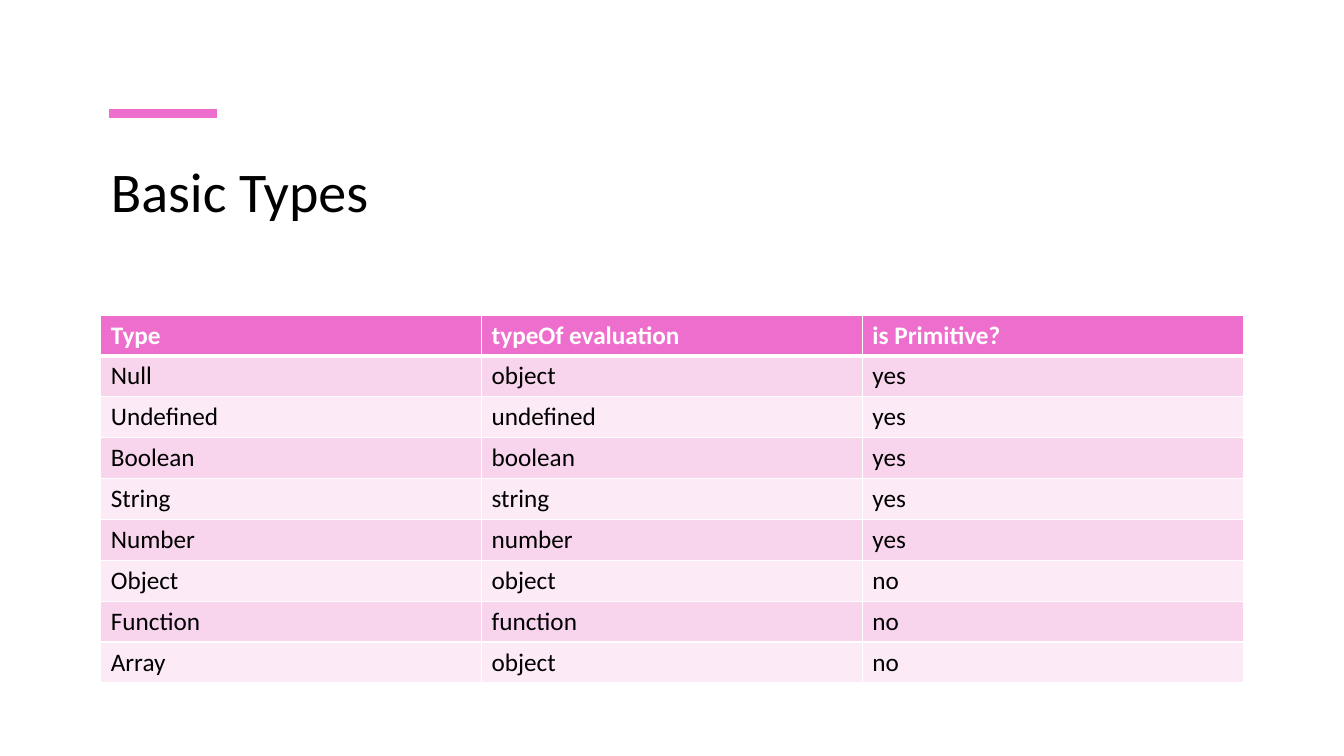
from dataclasses import dataclass

from lxml.etree import SubElement
from pptx import Presentation
from pptx.dml.color import RGBColor
from pptx.enum.shapes import MSO_CONNECTOR
from pptx.enum.text import MSO_ANCHOR, MSO_AUTO_SIZE, PP_ALIGN
from pptx.oxml.ns import qn
from pptx.util import Inches, Pt


@dataclass(frozen=True)
class Theme:
    font: str = "Calibri"
    title_size: int = 40
    table_size: int = 18
    accent: str = "EE6ECD"
    bands: tuple = ("F8D5ED", "FCEBF6")
    ink: str = "000000"
    paper: str = "FFFFFF"
    bar_width: int = 6
    rule_width: int = 1
    header_rule_width: int = 3


THEME = Theme()
SLIDE_WIDTH, SLIDE_HEIGHT = Inches(13.33), Inches(7.5)
GRID_COLUMNS, GRID_ROWS = 40, 60
MARGIN, CONTENT_COLUMNS = 3, 34

TYPES = [
    ("Type", "typeOf evaluation", "is Primitive?"),
    ("Null", "object", "yes"),
    ("Undefined", "undefined", "yes"),
    ("Boolean", "boolean", "yes"),
    ("String", "string", "yes"),
    ("Number", "number", "yes"),
    ("Object", "object", "no"),
    ("Function", "function", "no"),
    ("Array", "object", "no"),
]


def across(columns):
    """Return the width of a number of grid columns."""
    return round(SLIDE_WIDTH * columns / GRID_COLUMNS)


def down(rows):
    """Return the height of a number of grid rows."""
    return round(SLIDE_HEIGHT * rows / GRID_ROWS)


def style_font(paragraph, size, color, bold=False):
    """Apply the theme's typeface with a size, colour and weight."""
    font = paragraph.font
    font.name, font.size, font.bold = THEME.font, Pt(size), bold
    font.color.rgb = RGBColor.from_string(color)


def add_accent_bar(slide, start, end, row):
    """Draw the thick horizontal accent line."""
    bar = slide.shapes.add_connector(
        MSO_CONNECTOR.STRAIGHT, across(start), down(row), across(end), down(row))
    bar.line.color.rgb = RGBColor.from_string(THEME.accent)
    bar.line.width = Pt(THEME.bar_width)
    SubElement(bar.line._get_or_add_ln().getparent(), qn("a:effectLst"))


def set_title(slide, wording, row, rows):
    """Place and format the title placeholder."""
    title = slide.shapes.title
    title.left, title.top = across(MARGIN), down(row)
    title.width, title.height = across(CONTENT_COLUMNS), down(rows)
    frame = title.text_frame
    frame.text = wording
    frame.word_wrap = True
    frame.auto_size = MSO_AUTO_SIZE.NONE
    frame.vertical_anchor = MSO_ANCHOR.TOP
    heading = frame.paragraphs[0]
    heading.alignment = PP_ALIGN.LEFT
    style_font(heading, THEME.title_size, THEME.ink)


def add_borders(cell, top, bottom):
    """Rule all four sides of a cell ahead of its fill."""
    properties = cell._tc.get_or_add_tcPr()
    widths = {"L": THEME.rule_width, "R": THEME.rule_width, "T": top, "B": bottom}
    for side, width in widths.items():
        rule = SubElement(properties, qn(f"a:ln{side}"), w=str(Pt(width)))
        paint = SubElement(rule, qn("a:solidFill"))
        SubElement(paint, qn("a:srgbClr"), val=THEME.paper)


def format_cell(cell, wording, row):
    """Fill one cell as a header or as part of a colour band."""
    header = row == 0
    thin, thick = THEME.rule_width, THEME.header_rule_width
    add_borders(cell, thick if row == 1 else thin, thick if header else thin)
    cell.fill.solid()
    background = THEME.accent if header else THEME.bands[(row - 1) % len(THEME.bands)]
    cell.fill.fore_color.rgb = RGBColor.from_string(background)
    cell.text = wording
    style_font(cell.text_frame.paragraphs[0], THEME.table_size,
               THEME.paper if header else THEME.ink, header)


def add_types_table(slide, records, row, rows):
    """Add the table of types on equal columns and rows."""
    table = slide.shapes.add_table(
        len(records), len(records[0]), across(MARGIN), down(row),
        across(CONTENT_COLUMNS), down(rows)).table
    for index, record in enumerate(records):
        for column, wording in enumerate(record):
            format_cell(table.cell(index, column), wording, index)


def main():
    """Build and save the slide."""
    deck = Presentation()
    deck.slide_width, deck.slide_height = SLIDE_WIDTH, SLIDE_HEIGHT
    slide = deck.slides.add_slide(deck.slide_layouts.get_by_name("Title Only"))
    add_accent_bar(slide, start=3.24, end=6.45, row=9)
    set_title(slide, "Basic Types", row=12, rows=11.5)
    add_types_table(slide, TYPES, row=25, rows=29.2)
    deck.save("out.pptx")


if __name__ == "__main__":
    main()
